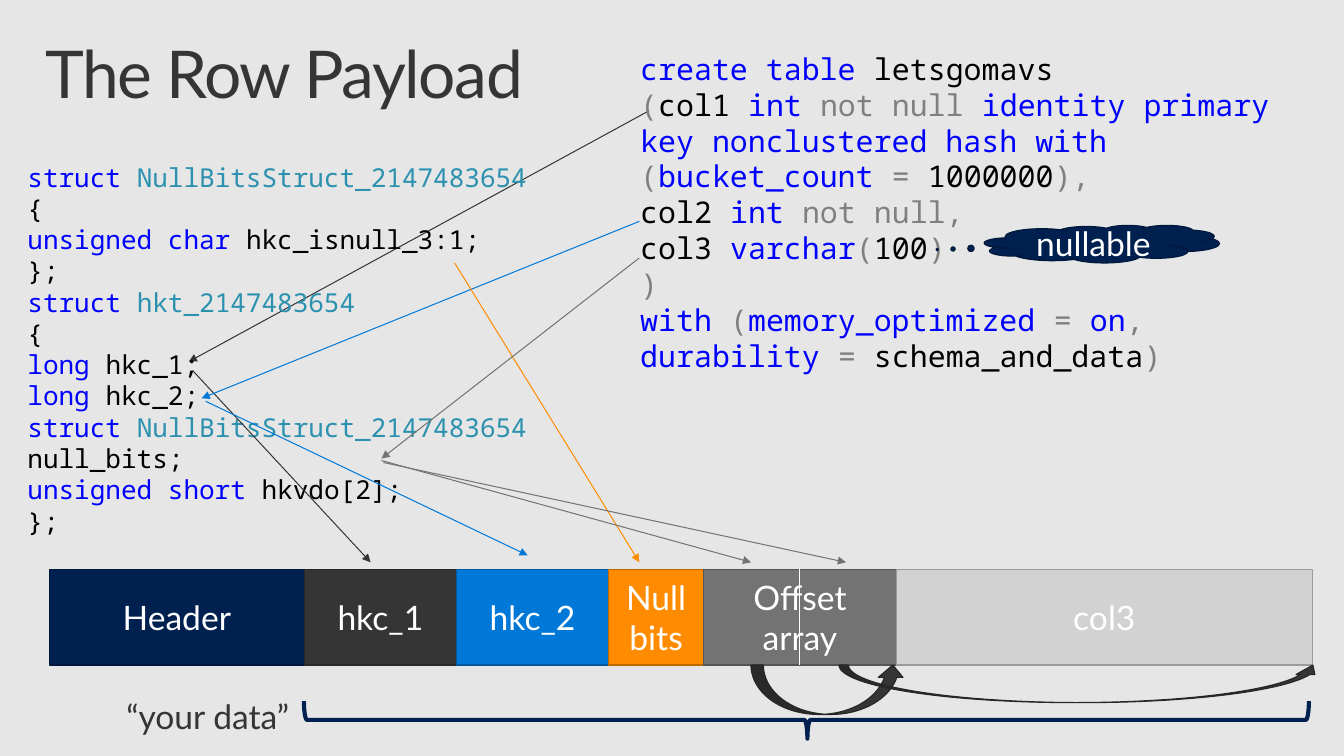
from lxml import etree
from pptx import Presentation
from pptx.dml.color import RGBColor
from pptx.enum.shapes import MSO_CONNECTOR, MSO_SHAPE
from pptx.enum.text import MSO_ANCHOR, MSO_AUTO_SIZE, PP_ALIGN
from pptx.oxml.ns import qn
from pptx.util import Inches, Pt

LINE = MSO_CONNECTOR.STRAIGHT
RECT = MSO_SHAPE.RECTANGLE
CLOUD = MSO_SHAPE.CLOUD_CALLOUT
BRACE = MSO_SHAPE.RIGHT_BRACE
CURVE = MSO_SHAPE.CURVED_UP_ARROW
MIDDLE = MSO_ANCHOR.MIDDLE
GROW, FIXED = MSO_AUTO_SIZE.SHAPE_TO_FIT_TEXT, MSO_AUTO_SIZE.NONE
LEFT, CENTER = PP_ALIGN.LEFT, PP_ALIGN.CENTER

THEME = {
    "back": "E6E6E6", "navy": "002050", "dark": "353535", "blue": "0078D7",
    "orange": "FF8C00", "gray": "737373", "pale": "D2D2D2", "white": "FFFFFF",
    "navy edge": "00183B", "dark edge": "272727", "blue edge": "00599F",
    "orange edge": "BD6800", "gray edge": "555555", "pale edge": "9B9B9B",
    "key": "0000FF", "type": "2B91AF", "sign": "808080", "name": "000000",
    "sans": "Lato", "mono": "Noto Sans Mono",
    "title": 48, "label": 24.5, "sql": 21.8, "struct": 19,
    "thin": 0.75, "edge": 0.85, "thick": 3,
}

# Content: each code line is a list of (text, colour) runs
TITLE = [[("The Row Payload", "dark")]]
NOTE = [[("“your data”", "dark")]]
SQL = [
    [("create table", "key"), (" letsgomavs", "name")],
    [("(", "sign"), ("col1 ", "name"), ("int ", "key"), ("not null ", "sign"),
     ("identity primary key nonclustered hash with ", "key"), ("(", "sign"),
     ("bucket_count ", "key"), ("=", "sign"), (" 1000000", "name"), ("),", "sign")],
    [("col2 ", "name"), ("int ", "key"), ("not null,", "sign")],
    [("col3 ", "name"), ("varchar", "key"), ("(", "sign"), ("100", "name"),
     (")", "sign")],
    [(")", "sign")],
    [("with ", "key"), ("(", "sign"), ("memory_optimized ", "key"), ("= ", "sign"),
     ("on", "key"), (", ", "sign"), ("durability ", "key"), ("=", "sign"),
     (" schema_and_data", "name"), (")", "sign")],
]
STRUCT = [
    [("struct ", "key"), ("NullBitsStruct_2147483654", "type")],
    [("{", "name")],
    [("unsigned char", "key"), (" hkc_isnull_3:1;", "name")],
    [("};", "name")],
    [("struct ", "key"), ("hkt_2147483654", "type")],
    [("{", "name")],
    [("long", "key"), (" hkc_1;", "name")],
    [("long", "key"), (" hkc_2;", "name")],
    [("struct ", "key"), ("NullBitsStruct_2147483654", "type"),
     (" null_bits;", "name")],
    [("unsigned short", "key"), (" hkvdo[2];", "name")],
    [("};", "name")],
]
# Row layout: label, width, colour
FIELDS = [
    ("Header", 2.58, "navy"), ("hkc_1", 1.54, "dark"), ("hkc_2", 1.54, "blue"),
    ("Null bits", 0.96, "orange"), ("Offset array", 1.95, "gray"),
    ("col3", 4.21, "pale"),
]
ROW_X, ROW_Y, ROW_H = 0.5, 5.76, 0.97
# Arrows: from x, y, to x, y, colour
BEHIND = (6.57, 1.12, 1.91, 3.66, "dark")
ARROWS = [
    (1.95, 3.75, 3.75, 5.69, "dark"),
    (6.47, 2.24, 2.04, 4.03, "blue"),
    (2.08, 4.06, 5.34, 5.62, "blue"),
    (4.6, 2.66, 6.47, 5.69, "orange"),
    (3.86, 4.66, 7.6, 5.69, "gray"),
    (3.88, 4.68, 8.56, 5.69, "gray"),
    (6.47, 2.61, 3.86, 4.64, "gray"),
]
# Curved arrows from the offsets to the ends of col3: x, width, height
CURVES = [(7.6, 1.56, 0.5), (8.49, 4.89, 0.38)]

deck = Presentation()
deck.slide_width, deck.slide_height = Inches(13.6), Inches(7.65)
slide = deck.slides.add_slide(deck.slide_layouts[6])
shapes = slide.shapes


def color(name):
    return RGBColor.from_string(THEME[name])


def write(frame, lines, size, face, align=LEFT):
    for i, line in enumerate(lines):
        para = frame.paragraphs[0] if i == 0 else frame.add_paragraph()
        para.alignment = align
        for text, tint in line:
            run = para.add_run()
            run.text = text
            run.font.size = Pt(THEME[size])
            run.font.name = THEME[face]
            run.font.color.rgb = color(tint)


def add_text(box, lines, size, face, fit=GROW, wrap=True):
    frame = shapes.add_textbox(*map(Inches, box)).text_frame
    frame.word_wrap = wrap
    frame.auto_size = fit
    write(frame, lines, size, face)
    return frame


def add_block(kind, box, tint, label=None):
    block = shapes.add_shape(kind, *map(Inches, box))
    block.shadow.inherit = False
    block.fill.solid()
    block.fill.fore_color.rgb = color(tint)
    block.line.color.rgb = color(tint + " edge")
    block.line.width = Pt(THEME["edge"])
    if label:
        frame = block.text_frame
        frame.word_wrap = True
        frame.vertical_anchor = MIDDLE
        write(frame, [[(label, "white")]], "label", "sans", CENTER)
    return block


def add_line(x1, y1, x2, y2, tint, head=True):
    line = shapes.add_connector(LINE, *map(Inches, (x1, y1, x2, y2)))
    line.line.color.rgb = color(tint)
    line.line.width = Pt(THEME["thin"])
    if head:
        tip = etree.SubElement(line.line._get_or_add_ln(), qn("a:tailEnd"))
        tip.set("type", "triangle")
    etree.SubElement(line._element.spPr, qn("a:effectLst"))
    return line


# Background, title and code
slide.background.fill.solid()
slide.background.fill.fore_color.rgb = color("back")
add_line(*BEHIND)
title = add_text((0.3, 0.32, 13, 1), TITLE, "title", "sans", FIXED)
title.margin_left = title.margin_right = Inches(0.16)
title.margin_top = title.margin_bottom = Inches(0.1)
title.paragraphs[0].line_spacing = 0.9
title.paragraphs[0].runs[0].font._element.set("spc", "-100")
add_text((6.38, 0.46, 6.8, 3.4), SQL, "sql", "mono")
add_text((0.18, 1.58, 6.8, 3.63), STRUCT, "struct", "mono")

# Row fields, side by side
row = {}
x = ROW_X
for label, width, tint in FIELDS:
    row[label] = add_block(RECT, (x, ROW_Y, width, ROW_H), tint, label)
    x += width

# Arrows and the split in the offset array
for arrow in ARROWS:
    add_line(*arrow)
split = add_line(8.1, ROW_Y, 8.1, ROW_Y + ROW_H, "white", head=False)
split.begin_connect(row["Offset array"], 0)
split.end_connect(row["Offset array"], 2)
for left, width, height in CURVES:
    add_block(CURVE, (left, ROW_Y + ROW_H, width, height), "dark")

# Brace under the data
brace = shapes.add_shape(BRACE, *map(Inches, (7.97, 2.2, 0.38, 10.17)))
brace.rotation = 90
brace.adjustments[0], brace.adjustments[1] = 0.083, 0.499
brace.shadow.inherit = False
brace.fill.background()
brace.line.color.rgb = color("navy")
brace.line.width = Pt(THEME["thick"])
add_text((1.18, 6.99, 1.85, 0.51), NOTE, "label", "sans", wrap=False)

# Callout on col3
cloud = add_block(CLOUD, (9.96, 2.28, 2.38, 0.38), "navy", "nullable")
cloud.adjustments[0], cloud.adjustments[1] = -0.7, 0.145

deck.save("out.pptx")
